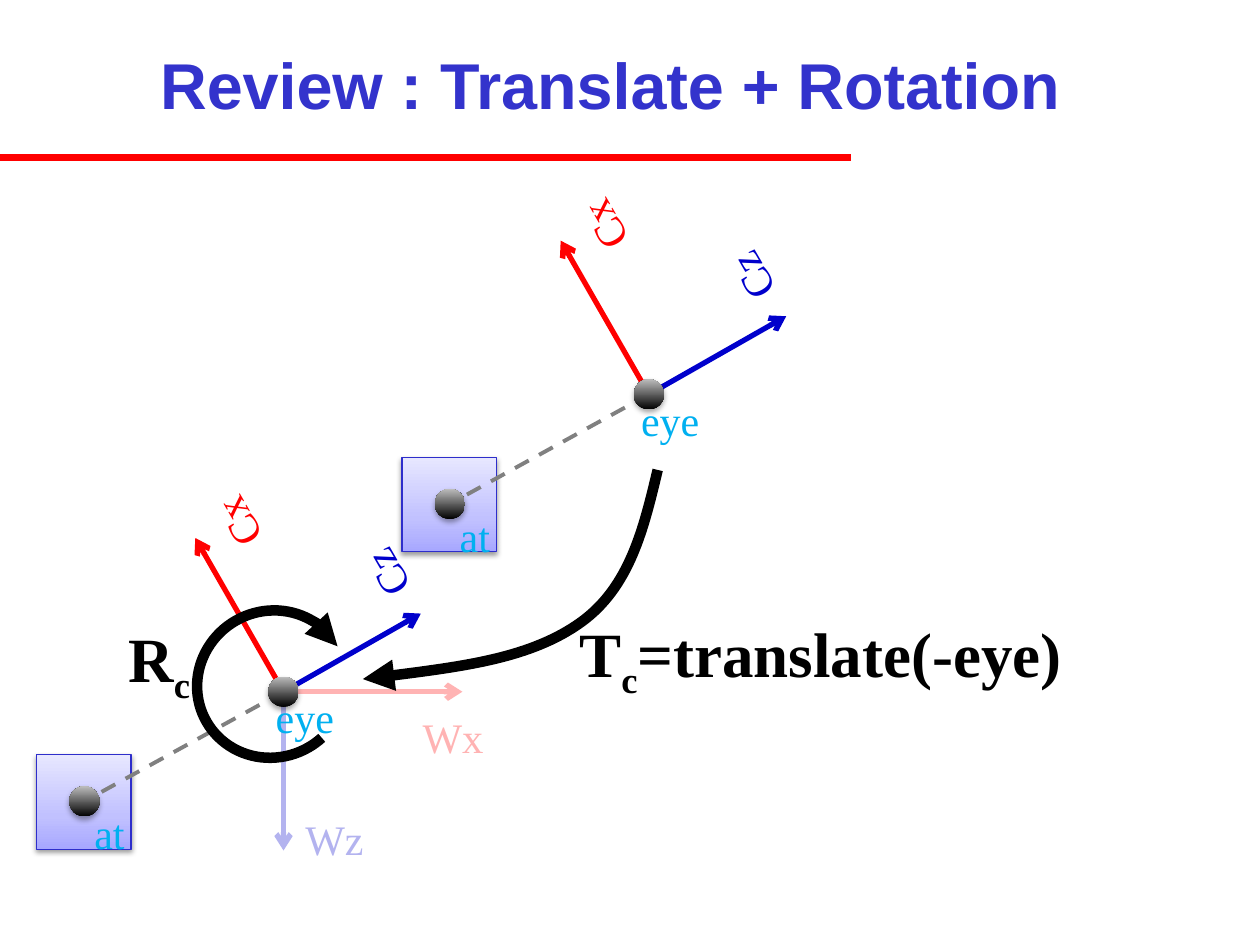
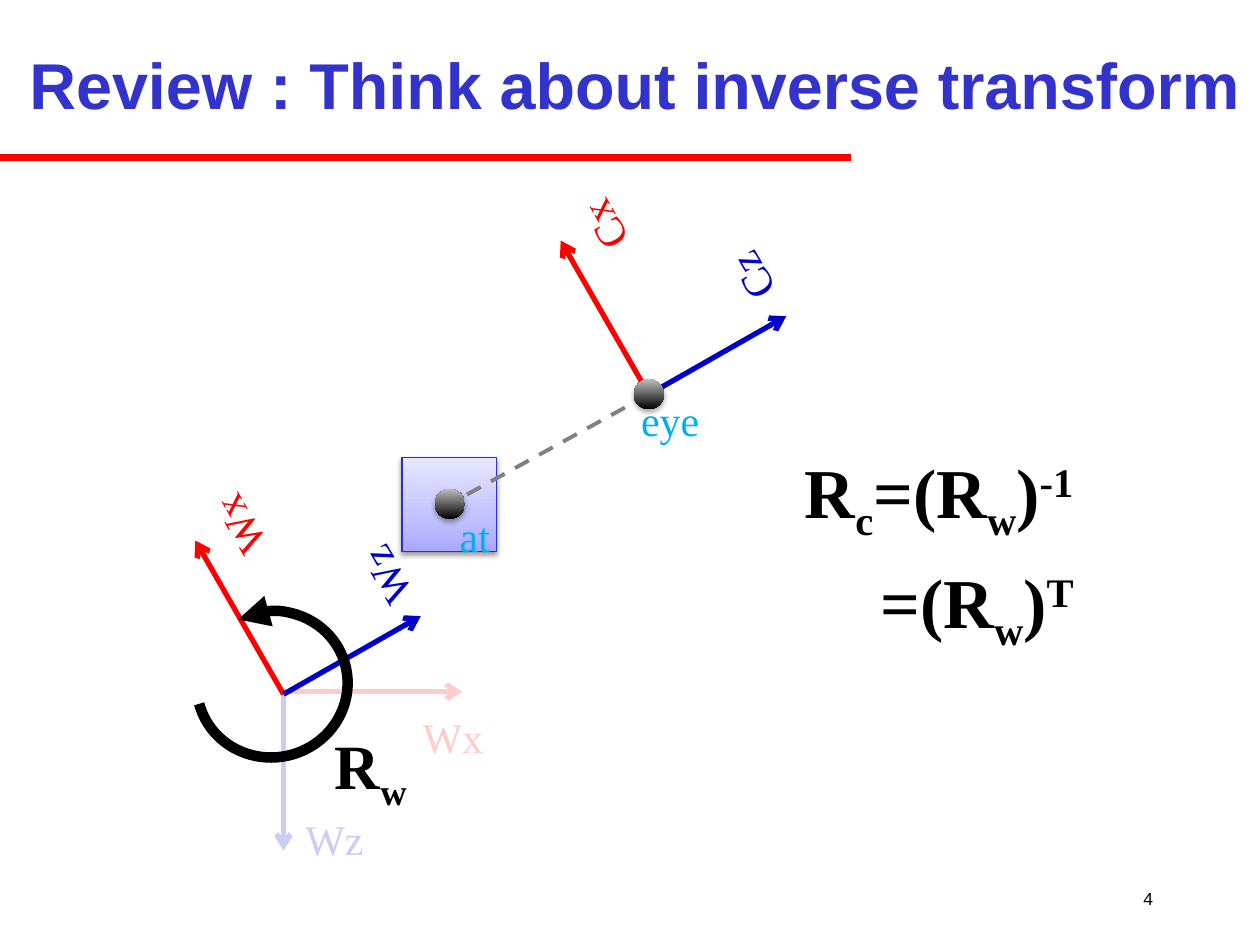
from lxml import etree
from pptx import Presentation
from pptx.dml.color import RGBColor
from pptx.enum import dml, shapes, text
from pptx.oxml.ns import qn
from pptx.util import Inches, Pt

COLORS = {
    "title": "3333CC", "rule": "FF0000", "x_axis": "FF0000", "z_axis": "0000CC",
    "point": "00B0F0", "sight": "808080", "ink": "000000", "veil": "FFFFFF",
    "target_edge": "2E2ECB",
}
TARGET_STOPS = [(0, "A7A7FF"), (35, "C1C1FF"), (100, "E7E7FF")]
DOT_STOPS = [(0, "000000"), (100, "BDBDBD")]
SANS, SERIF = "Arial", "Times New Roman"

WORLD = (2.25, 5.49)
CAMERA = (5.15, 3.13)
LABEL_WIDTHS = {"Cx": 0.59, "Cz": 0.58, "Wx": 0.69, "Wz": 0.67}
# Per axis: tip and label centre, both relative to the axes' origin
UPRIGHT = {"x": ((1.42, 0), (1.35, 0.36)), "z": ((0, 1.26), (0.41, 1.17))}
TILTED = {"x": ((-0.7, -1.22), (-0.36, -1.34)), "z": ((1.09, -0.62), (0.81, -0.94))}
TILT = 240


def rgb(name):
    return RGBColor.from_string(COLORS[name])


# Formatting helpers
def set_font(font, size, color, name=SERIF, bold=False):
    font.size, font.name, font.bold = Pt(size), name, bold
    font.color.rgb = rgb(color)


def set_line(line, color, width, head=None, tail=None):
    line.color.rgb = rgb(color)
    line.width = Pt(width)
    for tag, kind in (("a:headEnd", head), ("a:tailEnd", tail)):
        if kind:
            etree.SubElement(line._get_or_add_ln(), qn(tag), type=kind)


def set_gradient(shape, stops):
    shape.fill.gradient()
    shape.fill.gradient_angle = 90
    stop_list = shape._element.spPr.find(".//" + qn("a:gsLst"))
    for stop in list(stop_list):
        stop_list.remove(stop)
    for place, color in stops:
        stop = etree.SubElement(stop_list, qn("a:gs"), pos=str(place * 1000))
        etree.SubElement(stop, qn("a:srgbClr"), val=color)


def set_alpha(color, percent):
    etree.SubElement(color, qn("a:alpha"), val=str(percent * 1000))


def set_shadow(shape, alpha, distance):
    shape.shadow.inherit = False
    effects = shape._element.spPr.find(qn("a:effectLst"))
    shadow = etree.SubElement(
        effects, qn("a:outerShdw"), blurRad=str(Pt(3.1)),
        dist=str(Pt(distance)), dir="5400000", rotWithShape="0")
    set_alpha(etree.SubElement(shadow, qn("a:srgbClr"), val=COLORS["ink"]), alpha)


# Elements
def add_preset(page, kind, left, top, width, height):
    shape = page.shapes.add_shape(
        kind, Inches(left), Inches(top), Inches(width), Inches(height))
    shape.shadow.inherit = False
    return shape


def add_line(page, start, end, color, width, tail=None, dashed=False):
    line = page.shapes.add_connector(
        shapes.MSO_CONNECTOR.STRAIGHT, *(Inches(value) for value in (*start, *end)))
    if dashed:
        line.line.dash_style = dml.MSO_LINE.DASH
    set_line(line.line, color, width, tail=tail)
    etree.SubElement(line._element.spPr, qn("a:effectLst"))


def add_text(page, spans, left, top, width, height, size, color="ink",
             name=SERIF, bold=False, rotation=0):
    """Each span is plain text or a (text, baseline percent) pair."""
    box = page.shapes.add_textbox(
        Inches(left), Inches(top), Inches(width), Inches(height))
    box.rotation = rotation
    frame = box.text_frame
    frame.word_wrap = False
    frame.auto_size = text.MSO_AUTO_SIZE.SHAPE_TO_FIT_TEXT
    para = frame.paragraphs[0]
    set_font(para.font, size, color, name, bold)
    for item in spans:
        words, baseline = (item, 0) if isinstance(item, str) else item
        span = para.add_run()
        span.text = words
        if baseline:
            span._r.get_or_add_rPr().set("baseline", str(baseline * 1000))
    return box


def add_formula(page, spans, left, top, width, height=0.71, size=36):
    add_text(page, spans, left, top, width, height, size, bold=True)


def add_axes(page, origin, letter, layout, rotation=0):
    x, y = origin
    for axis, ((tip_x, tip_y), _) in layout.items():
        add_line(page, origin, (x + tip_x, y + tip_y), axis + "_axis", 3, "arrow")
    for axis, (_, (center_x, center_y)) in layout.items():
        label = letter + axis
        width = LABEL_WIDTHS[label]
        add_text(page, [label], x + center_x - width / 2, y + center_y - 0.25,
                 width, 0.5, 24, axis + "_axis", rotation=rotation)


def add_dot(page, x, y):
    dot = add_preset(page, shapes.MSO_SHAPE.OVAL, x - 0.12, y - 0.12, 0.24, 0.24)
    set_gradient(dot, DOT_STOPS)
    dot.line.fill.background()
    set_shadow(dot, 35, 1.8)


def add_camera(page, eye):
    """Camera axes at the eye, and the target box it is aimed along."""
    x, y = eye
    at = (x - 1.58, y + 0.87)
    target = add_preset(
        page, shapes.MSO_SHAPE.RECTANGLE, at[0] - 0.38, at[1] - 0.37, 0.75, 0.75)
    set_gradient(target, TARGET_STOPS)
    set_line(target.line, "target_edge", 0.75)
    set_shadow(target, 38, 1.6)
    add_axes(page, eye, "C", TILTED, TILT)
    add_line(page, eye, at, "sight", 2.25, dashed=True)
    for point in (eye, at):
        add_dot(page, *point)
    add_text(page, ["eye"], x - 0.16, y - 0.05, 0.67, 0.51, 24, "point")
    add_text(page, ["at"], at[0] - 0.02, at[1], 0.44, 0.51, 24, "point")


def add_veil(page, width, height, opacity):
    """Translucent cover that fades the world axes."""
    veil = add_preset(page, shapes.MSO_SHAPE.RECTANGLE, 2.08, 5.33, width, height)
    veil.fill.solid()
    veil.fill.fore_color.rgb = rgb("veil")
    set_alpha(veil._element.spPr.find(qn("a:solidFill"))[0], opacity)
    veil.line.fill.background()


def add_turn(page, rotation, **arrowheads):
    arc = add_preset(page, shapes.MSO_SHAPE.ARC, 1.56, 4.85, 1.2, 1.16)
    arc.adjustments[0] = 77.23 * 60000 / 100000
    arc.rotation = rotation
    arc.fill.background()
    set_line(arc.line, "ink", 6, **arrowheads)


def add_curve(page, points):
    """Bezier arrow: a start point, then three points for each segment."""
    emu = [(Inches(x), Inches(y)) for x, y in points]
    builder = page.shapes.build_freeform(*emu[0])
    builder.add_line_segments(emu[1:], close=False)
    curve = builder.convert_to_shape()
    outline = curve._element.spPr.find(".//" + qn("a:path"))
    sides = outline.findall(qn("a:lnTo"))
    for first in range(0, len(sides), 3):
        bezier = etree.SubElement(outline, qn("a:cubicBezTo"))
        for side in sides[first:first + 3]:
            bezier.append(side[0])
            outline.remove(side)
    curve.shadow.inherit = False
    curve.fill.background()
    set_line(curve.line, "ink", 6, tail="triangle")


def add_page(deck, heading, title_width):
    page = deck.slides.add_slide(deck.slide_layouts[5])
    add_line(page, (0, 1.25), (6.75, 1.25), "rule", 4)
    title = page.shapes.title
    title.left, title.top = Inches(0), Inches(0.08)
    title.width, title.height = Inches(title_width), Inches(1.17)
    frame = title.text_frame
    frame.text = heading
    frame.auto_size = text.MSO_AUTO_SIZE.NONE
    frame.vertical_anchor = text.MSO_ANCHOR.MIDDLE
    para = frame.paragraphs[0]
    para.alignment = text.PP_ALIGN.CENTER
    set_font(para.font, 37, "title", SANS, bold=True)
    return page


def add_page_number(page, number):
    box = add_text(page, [number], 8.83, 6.92, 0.42, 0.42, 10, name=SANS)
    box.text_frame.auto_size = text.MSO_AUTO_SIZE.NONE
    box.text_frame.vertical_anchor = text.MSO_ANCHOR.MIDDLE
    box.text_frame.paragraphs[0].alignment = text.PP_ALIGN.RIGHT


# Slides
def build_translate_rotation(deck):
    page = add_page(deck, "Review : Translate + Rotation ", 9.83)
    add_axes(page, WORLD, "W", UPRIGHT)
    add_camera(page, CAMERA)
    add_veil(page, 1.75, 1.63, 70)
    add_camera(page, WORLD)
    add_formula(page, ["T", ("c", -25), "=translate(-eye)"], 4.5, 4.83, 4.04)
    add_curve(page, [(5.22, 3.73), (5.11, 4.19), (5, 4.66), (4.61, 4.94),
                     (4.22, 5.22), (3.55, 5.31), (2.88, 5.39)])
    add_turn(page, 330, tail="triangle")
    add_formula(page, ["R", ("c", -25)], 0.92, 4.87, 0.72)


def build_inverse_transform(deck):
    page = add_page(deck, "Review : Think about inverse transform", 10.08)
    add_page_number(page, "4")
    add_axes(page, WORLD, "W", UPRIGHT)
    add_camera(page, CAMERA)
    add_veil(page, 1.85, 1.58, 80)
    add_axes(page, (2.25, 5.51), "W", TILTED, TILT)
    add_turn(page, 165, head="triangle")
    add_formula(page, ["R", ("w", -25)], 2.56, 5.72, 0.81)
    add_formula(page, ["R", ("c", -25), "=(R", ("w", -25), ")", ("-1", 30)],
                6.29, 3.51, 2.45, 0.77, 40)
    add_formula(page, ["=(R", ("w", -25), ")", ("T", 30)],
                6.89, 4.38, 1.82, 0.77, 40)


def main():
    deck = Presentation()
    deck.slide_width, deck.slide_height = Inches(10), Inches(7.5)
    build_translate_rotation(deck)
    build_inverse_transform(deck)
    deck.save("out.pptx")


if __name__ == "__main__":
    main()
